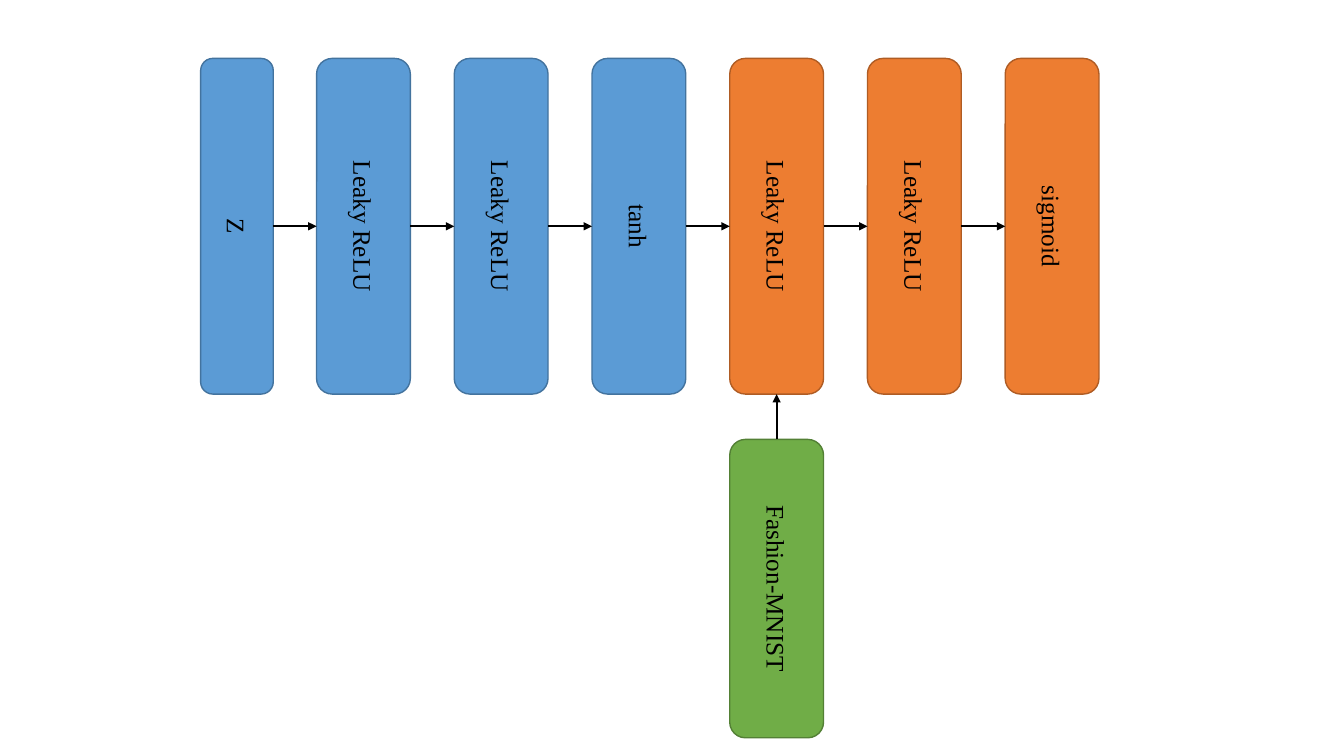
from lxml import etree
from pptx import Presentation
from pptx.dml.color import RGBColor
from pptx.enum.shapes import MSO_CONNECTOR, MSO_SHAPE
from pptx.enum.text import MSO_ANCHOR, PP_ALIGN
from pptx.oxml.ns import qn
from pptx.util import Inches, Pt

ROUNDED = MSO_SHAPE.ROUNDED_RECTANGLE
STRAIGHT = MSO_CONNECTOR.STRAIGHT
MIDDLE = MSO_ANCHOR.MIDDLE
CENTER = PP_ALIGN.CENTER

BLACK = RGBColor(0x00, 0x00, 0x00)
# Fill and outline of each group
GENERATOR = RGBColor(0x5B, 0x9B, 0xD5), RGBColor(0x43, 0x73, 0x9E)
DISCRIMINATOR = RGBColor(0xED, 0x7D, 0x31), RGBColor(0xAF, 0x5C, 0x24)
DATASET = RGBColor(0x70, 0xAD, 0x47), RGBColor(0x53, 0x80, 0x35)

# Content
NOISE = "Z"
LAYERS = [
    ("Leaky ReLU", GENERATOR),
    ("Leaky ReLU", GENERATOR),
    ("tanh", GENERATOR),
    ("Leaky ReLU", DISCRIMINATOR),
    ("Leaky ReLU", DISCRIMINATOR),
    ("sigmoid", DISCRIMINATOR),
]
REAL_DATA = "Fashion-MNIST"
REAL_DATA_COLUMN = 3

# Grid, in inches
FIRST_LEFT, LAST_LEFT = 3.14, 9.97
PITCH = (LAST_LEFT - FIRST_LEFT) / (len(LAYERS) - 1)
LAYER_WIDTH = 0.93
ROW_TOP, ROW_HEIGHT = 0.58, 3.33
NOISE_LEFT, NOISE_WIDTH = 1.99, 0.72
DATA_TOP, DATA_HEIGHT = 4.36, 2.96

# Connection sites of a rounded rectangle
TOP, LEFT, BOTTOM, RIGHT = range(4)


def add_block(slide, label, colours, left, top, width, height):
    block = slide.shapes.add_shape(
        ROUNDED, Inches(left), Inches(top), Inches(width), Inches(height))
    fill, outline = colours
    block.shadow.inherit = False
    block.fill.solid()
    block.fill.fore_color.rgb = fill
    block.line.color.rgb = outline
    block.line.width = Pt(1)

    frame = block.text_frame
    frame.vertical_anchor = MIDDLE
    frame._txBody.bodyPr.set("vert", "vert")
    para = frame.paragraphs[0]
    para.text = label
    para.alignment = CENTER
    para.font.name = "Times New Roman"
    para.font.size = Pt(18)
    para.font.color.rgb = BLACK
    return block


def add_arrow(slide, source, source_site, target, target_site):
    arrow = slide.shapes.add_connector(STRAIGHT, 0, 0, 0, 0)
    arrow.begin_connect(source, source_site)
    arrow.end_connect(target, target_site)
    arrow.line.color.rgb = BLACK
    arrow.line.width = Pt(1.5)
    etree.SubElement(arrow.line._get_or_add_ln(), qn("a:tailEnd"), type="triangle")
    etree.SubElement(arrow._element.spPr, qn("a:effectLst"))


def main():
    deck = Presentation()
    deck.slide_width, deck.slide_height = Inches(13.33), Inches(7.5)
    slide = deck.slides.add_slide(deck.slide_layouts[6])

    # Row of blocks: noise input, then the layers
    row = [add_block(slide, NOISE, GENERATOR,
                     NOISE_LEFT, ROW_TOP, NOISE_WIDTH, ROW_HEIGHT)]
    for column, (label, colours) in enumerate(LAYERS):
        row.append(add_block(slide, label, colours, FIRST_LEFT + column * PITCH,
                             ROW_TOP, LAYER_WIDTH, ROW_HEIGHT))

    # Real data below the first discriminator layer
    data = add_block(slide, REAL_DATA, DATASET,
                     FIRST_LEFT + REAL_DATA_COLUMN * PITCH,
                     DATA_TOP, LAYER_WIDTH, DATA_HEIGHT)

    # Arrows
    for source, target in zip(row, row[1:]):
        add_arrow(slide, source, RIGHT, target, LEFT)
    add_arrow(slide, data, TOP, row[REAL_DATA_COLUMN + 1], BOTTOM)

    deck.save("out.pptx")


if __name__ == "__main__":
    main()
